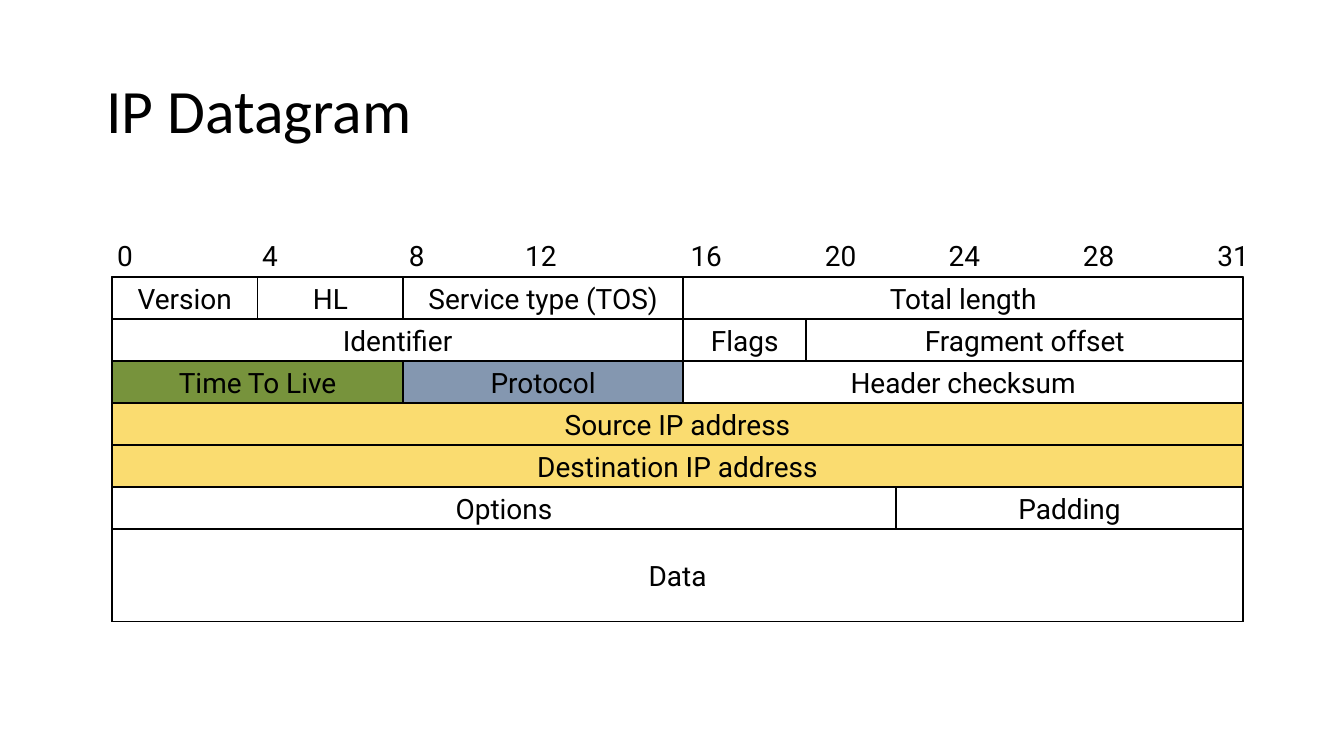
from pptx import Presentation
from pptx.dml.color import RGBColor
from pptx.enum.shapes import MSO_SHAPE as Shape
from pptx.enum.text import MSO_ANCHOR as Anchor, MSO_AUTO_SIZE as AutoSize, PP_ALIGN as Align
from pptx.util import Inches, Pt

BLACK = RGBColor(0x00, 0x00, 0x00)
GREEN = RGBColor(0x77, 0x93, 0x3C)
BLUE = RGBColor(0x84, 0x97, 0xB0)
YELLOW = RGBColor(0xFA, 0xDC, 0x70)

# Columns lie on twelfths of an inch, rows on sixteenths
COLUMN_UNIT, ROW_UNIT = Inches(1) / 12, Inches(1) / 16
LEFT, RIGHT = 10, 111
ROW_EDGES = [33, 38, 43, 48, 53, 58, 63, 74]

# Each field: label, right edge in column units, fill
ROWS = [
    [("Version", 23, None), ("HL", 36, None),
     ("Service type (TOS)", 61, None), ("Total length", RIGHT, None)],
    [("Identifier", 61, None), ("Flags", 72, None), ("Fragment offset", RIGHT, None)],
    [("Time To Live", 36, GREEN), ("Protocol", 61, BLUE), ("Header checksum", RIGHT, None)],
    [("Source IP address", RIGHT, YELLOW)],
    [("Destination IP address", RIGHT, YELLOW)],
    [("Options", 80, None), ("Padding", RIGHT, None)],
    [("Data", RIGHT, None)],
]
# Bit number and the left edge of its label in inches
BIT_LABELS = [(0, 0.78), (4, 1.86), (8, 2.95), (12, 3.82), (16, 5.05),
              (20, 6.05), (24, 6.97), (28, 7.97), (31, 8.97)]


def write_label(shape, text, side_margin=0.09):
    text_frame = shape.text_frame
    text_frame.text = text
    text_frame.word_wrap = False
    text_frame.vertical_anchor = Anchor.MIDDLE
    text_frame.margin_left = text_frame.margin_right = Inches(side_margin)
    text_frame.margin_top = text_frame.margin_bottom = Inches(0.04)
    paragraph = text_frame.paragraphs[0]
    paragraph.alignment = Align.CENTER
    font = paragraph.runs[0].font
    font.name, font.size = "Roboto", Pt(15)
    font.color.rgb = BLACK


def add_box(left, top, right, bottom, fill=None):
    """Draw an outlined rectangle between edges given in column and row units."""
    shape = slide.shapes.add_shape(
        Shape.RECTANGLE, round(left * COLUMN_UNIT), round(top * ROW_UNIT),
        round((right - left) * COLUMN_UNIT), round((bottom - top) * ROW_UNIT))
    shape.shadow.inherit = False
    shape.line.color.rgb = BLACK
    shape.line.width = Pt(1)
    if fill is None:
        shape.fill.background()
    else:
        shape.fill.solid()
        shape.fill.fore_color.rgb = fill
    return shape


presentation = Presentation()
presentation.slide_width = Inches(10)
presentation.slide_height = Inches(10 * 9 / 16)
slide = presentation.slides.add_slide(presentation.slide_layouts[5])

title = slide.shapes.title
title.left, title.top = Inches(0.69), Inches(0.3)
title.width, title.height = Inches(8.62), Inches(1.09)
title.text_frame.text = "IP Datagram"
title.text_frame.vertical_anchor = Anchor.MIDDLE
paragraph = title.text_frame.paragraphs[0]
paragraph.alignment = Align.LEFT
paragraph.line_spacing = 0.9
title_font = paragraph.runs[0].font
title_font.name, title_font.size = "Calibri", Pt(33)
title_font.color.rgb = BLACK

# Datagram frame and its rows of fields
add_box(LEFT, ROW_EDGES[0], RIGHT, ROW_EDGES[-1])
for row, top, bottom in zip(ROWS, ROW_EDGES, ROW_EDGES[1:]):
    left = LEFT
    for label, right, fill in row:
        write_label(add_box(left, top, right, bottom, fill), label)
        left = right

# Bit positions above the frame
for bit, left in BIT_LABELS:
    width = 0.3 if bit < 10 else 0.41
    text_box = slide.shapes.add_textbox(Inches(left), Inches(1.73),
                                        Inches(width), Inches(0.34))
    write_label(text_box, str(bit), side_margin=0.05)
    text_box.text_frame.auto_size = AutoSize.SHAPE_TO_FIT_TEXT

presentation.save("out.pptx")
